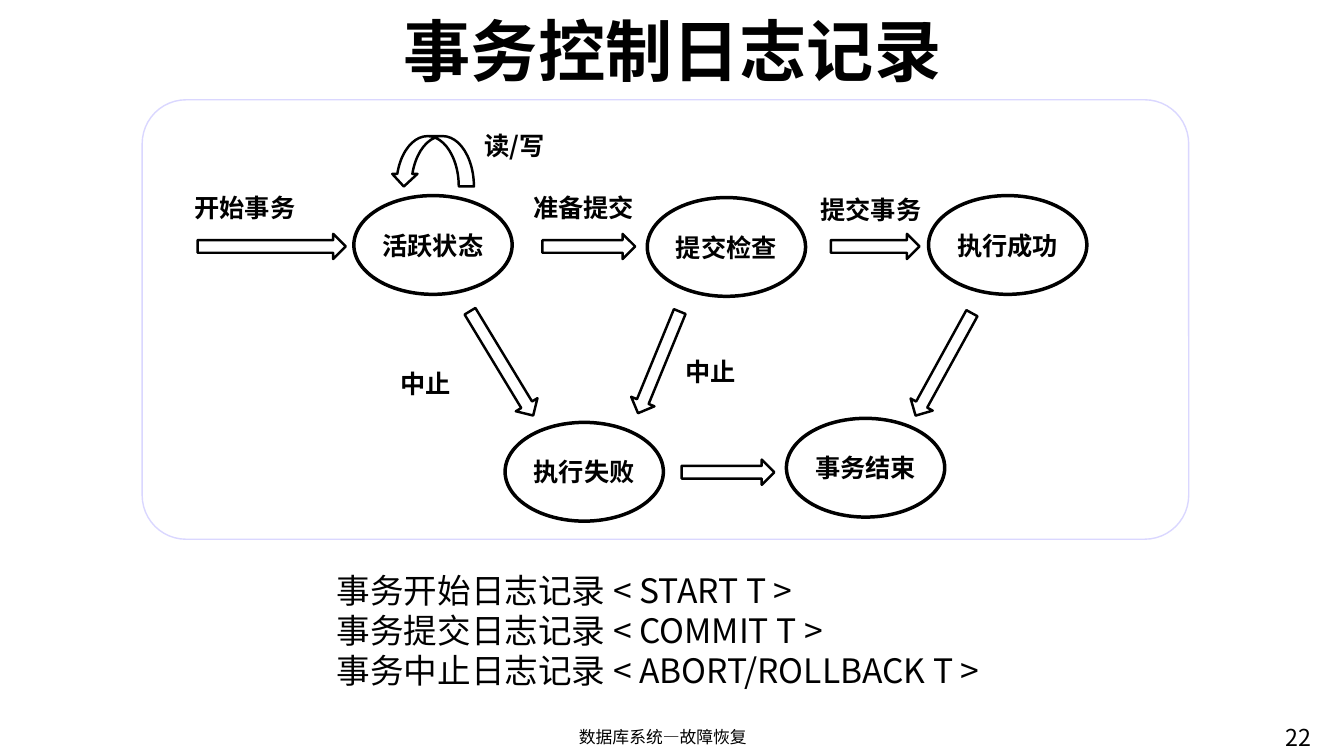
import pptx
import pptx.util
import pptx.dml.color
import pptx.enum.shapes
import pptx.enum.text

Inches = pptx.util.Inches
SHAPE = pptx.enum.shapes.MSO_SHAPE
ALIGN = pptx.enum.text.PP_ALIGN
MID = pptx.enum.text.MSO_ANCHOR.MIDDLE
FONT = "Noto Sans CJK SC"
HUES = {"ink": "000000", "paper": "FFFFFF", "frame": "DAD7FF"}

PANEL = (1.41, 0.99, 10.38, 4.36)
NODE = (1.57, 0.98)
THICK = 0.25
# state, left, top
STATES = [
    ("活跃状态", 3.51, 1.94),
    ("执行成功", 9.21, 1.94),
    ("提交检查", 6.42, 1.96),
    ("执行失败", 5.01, 4.19),
    ("事务结束", 7.8, 4.15),
]
# left, top, length, turn
ARROWS = [
    (1.96, 2.32, 1.47, 0),
    (5.38, 2.32, 0.92, 0),
    (8.24, 2.32, 0.88, 0),
    (4.37, 3.48, 1.21, 58.8),
    (5.99, 3.47, 1.09, 112.3),
    (6.76, 4.56, 0.92, 0),
    (8.78, 3.49, 1.16, 118.8),
]
LOOP = (3.88, 1.35, 0.82, 0.5)
# label, left, top, width
LABELS = [
    ("读/写", 4.71, 1.24, 0.96),
    ("开始事务", 1.83, 1.86, 1.44),
    ("准备提交", 5.19, 1.86, 1.44),
    ("提交事务", 8.04, 1.88, 1.21),
    ("中止", 3.87, 3.6, 0.72),
    ("中止", 6.7, 3.49, 0.72),
]
TITLE = "事务控制日志记录"
LOGS = [
    "事务开始日志记录 < START T >",
    "事务提交日志记录 < COMMIT T >",
    "事务中止日志记录 < ABORT/ROLLBACK T >",
]
FOOTER = "数据库系统—故障恢复"
PAGE = "22"

deck = pptx.Presentation()
deck.slide_width, deck.slide_height = Inches(13.33), Inches(7.5)
slide = deck.slides.add_slide(deck.slide_layouts[6])


def hue(name):
    return pptx.dml.color.RGBColor.from_string(HUES[name])


def write(frame, lines, size, bold=False, align=ALIGN.LEFT):
    for i, line in enumerate(lines):
        para = frame.paragraphs[0] if i == 0 else frame.add_paragraph()
        para.alignment = align
        run = para.add_run()
        run.text = line
        looks = {"name": FONT, "size": pptx.util.Pt(size), "bold": bold}
        for key, value in looks.items():
            setattr(run.font, key, value)
        run.font.color.rgb = hue("ink")


def text(box, lines, size, **style):
    frame = slide.shapes.add_textbox(*map(Inches, box)).text_frame
    frame.word_wrap = True
    write(frame, lines, size, **style)
    return frame


def draw(kind, box, weight, line="ink", fill=None, turn=0):
    shape = slide.shapes.add_shape(kind, *map(Inches, box))
    shape.shadow.inherit = False
    shape.rotation = turn
    if fill:
        shape.fill.solid()
        shape.fill.fore_color.rgb = hue(fill)
    else:
        shape.fill.background()
    shape.line.color.rgb = hue(line)
    shape.line.width = pptx.util.Pt(weight)
    return shape


panel = draw(SHAPE.ROUNDED_RECTANGLE, PANEL, 1, "frame", "paper")
panel.adjustments[0] = 0.1

head = text((1.15, 0.12, 11.04, 0.74), [TITLE], 48, bold=True, align=ALIGN.CENTER)
head.vertical_anchor = MID

for name, left, top in STATES:
    frame = draw(SHAPE.OVAL, (left, top, *NODE), 2.5).text_frame
    frame.word_wrap = False
    frame.vertical_anchor = MID
    write(frame, [name], 18, bold=True, align=ALIGN.CENTER)

for left, top, length, turn in ARROWS:
    draw(SHAPE.RIGHT_ARROW, (left, top, length, THICK), 1.75, turn=turn)

loop = draw(SHAPE.CURVED_UP_ARROW, LOOP, 1.75, turn=180)
loop.adjustments[0] = 0.3

for name, left, top, width in LABELS:
    text((left, top, width, 0.4), [name], 18, bold=True)

text((3.24, 5.6, 8.39, 1.31), LOGS, 24)
text((4.47, 7.16, 4.21, 0.34), [FOOTER], 12, align=ALIGN.CENTER)
text((12.65, 7.13, 0.84, 0.52), [PAGE], 16.6)

deck.save("out.pptx")
